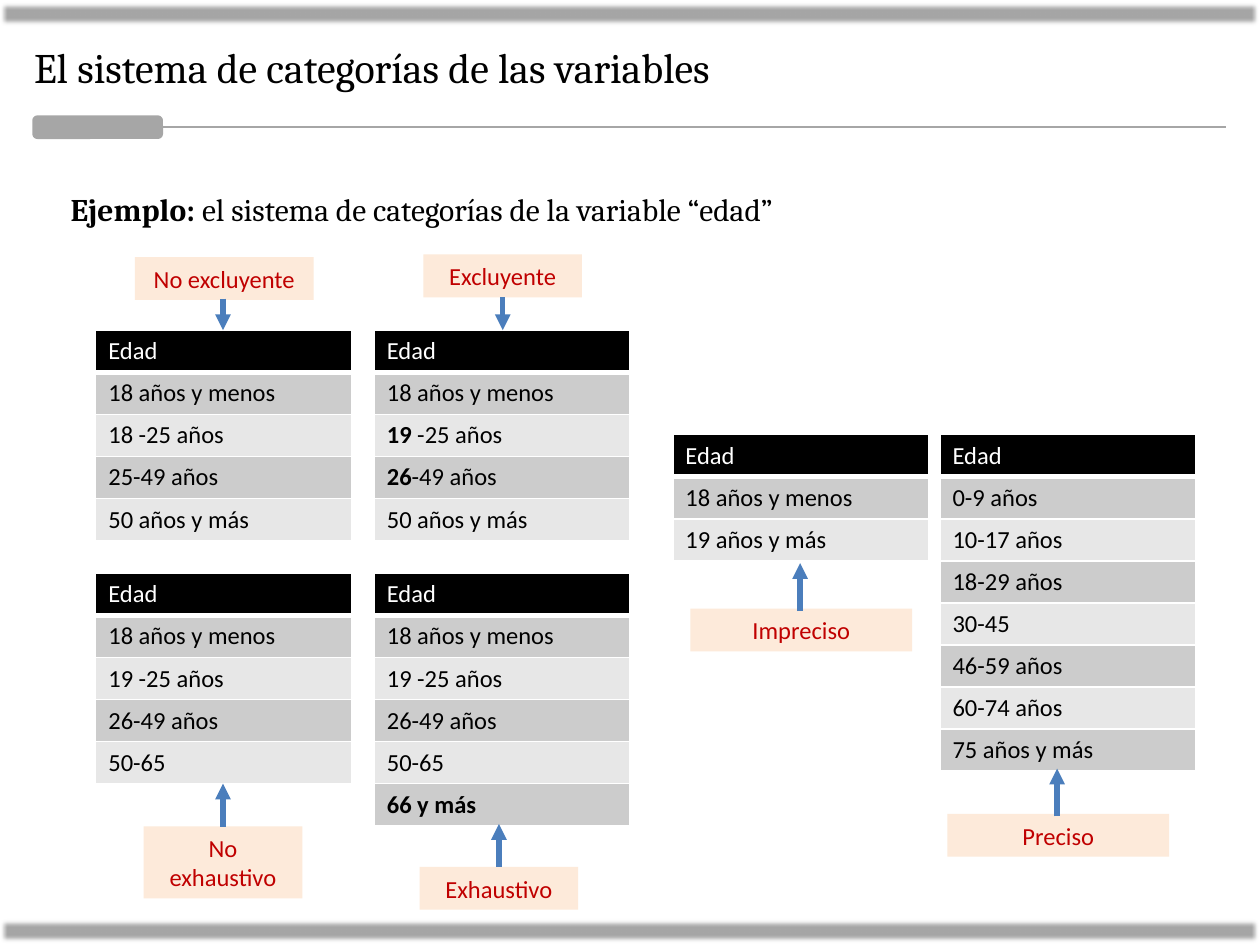
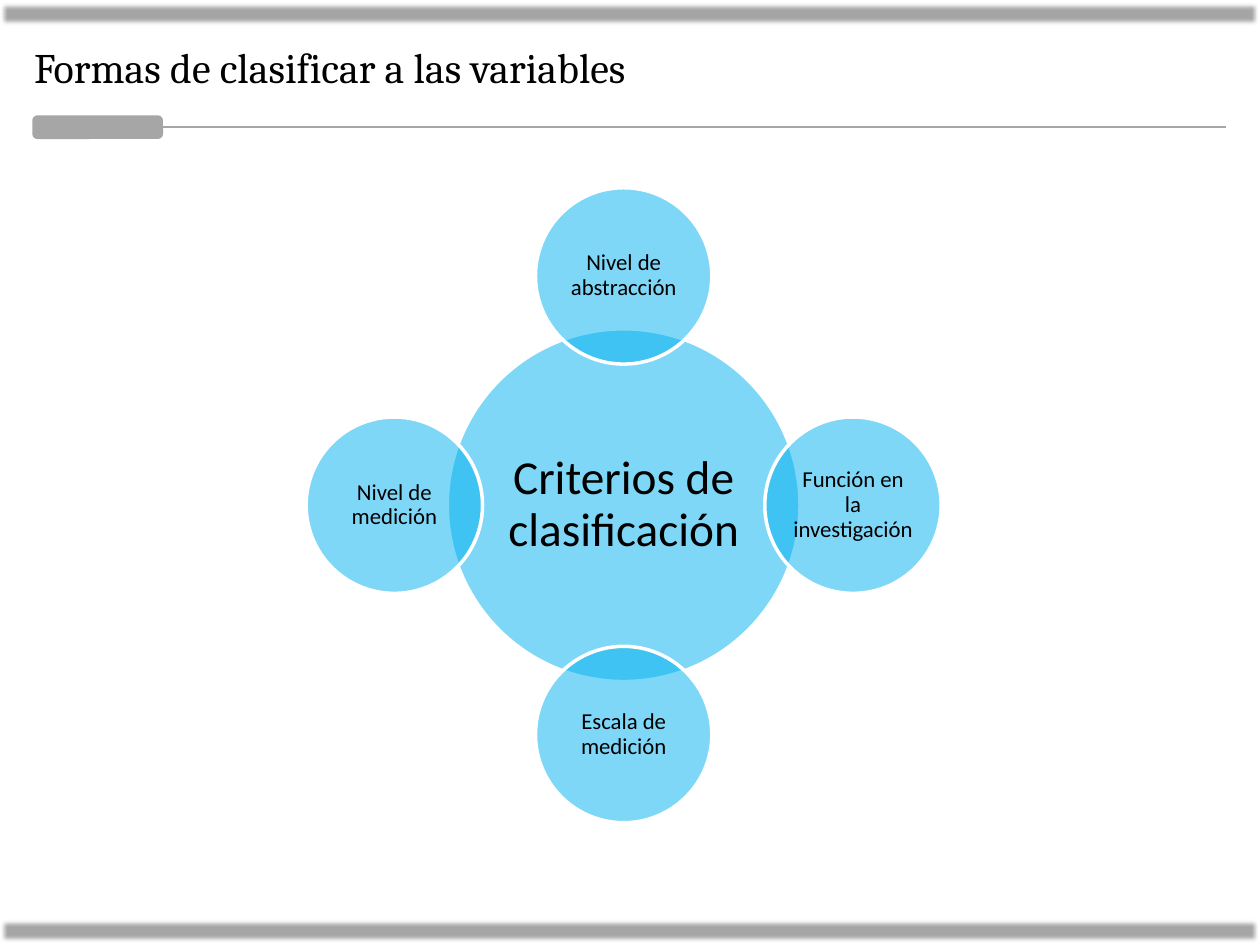
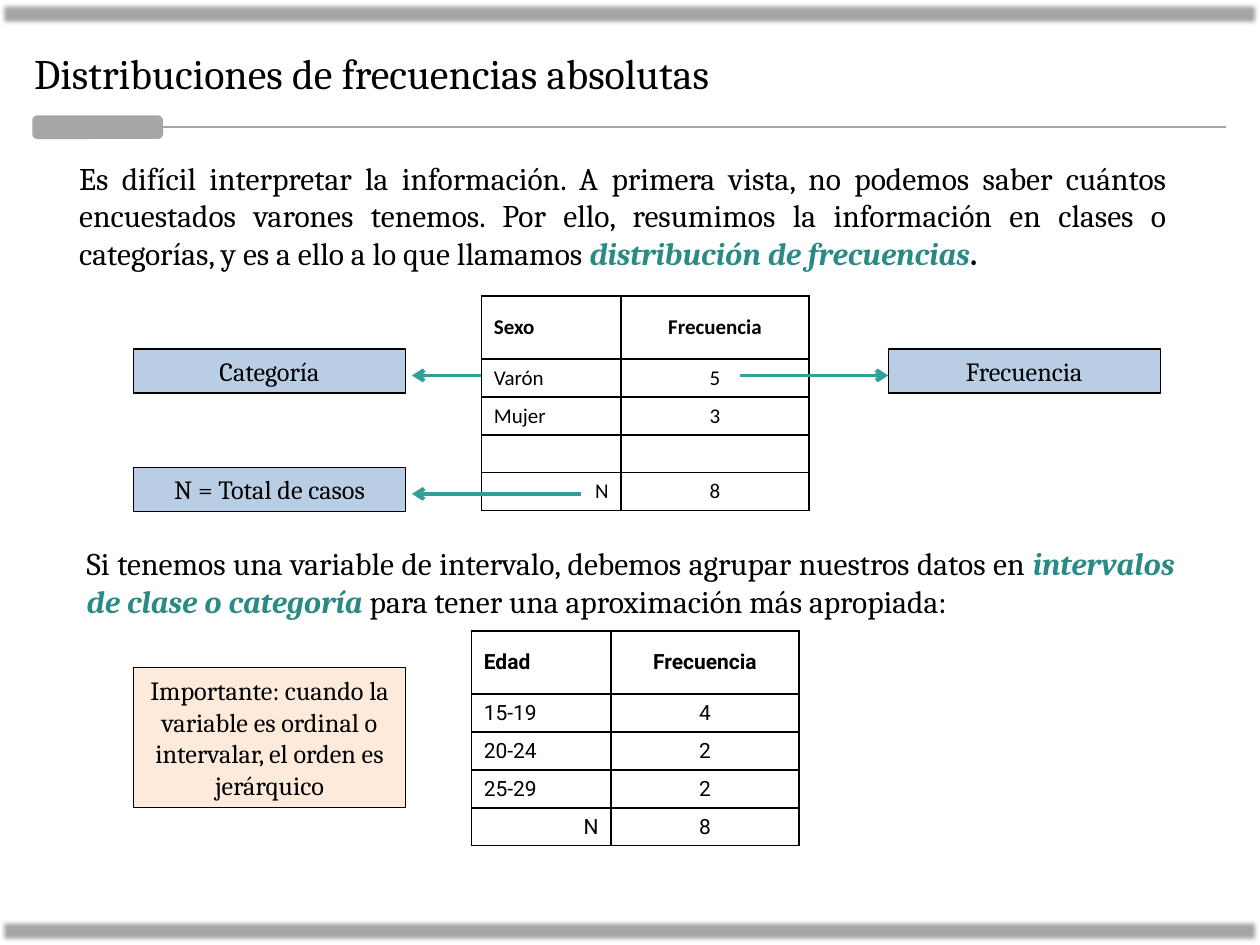
"""Build three slides on variables, categories and frequency distributions."""
import math

import pptx
import pptx.dml.color
import pptx.enum.shapes
import pptx.enum.text
import pptx.oxml.ns
import pptx.util
from lxml import etree

Inches = pptx.util.Inches
Pt = pptx.util.Pt
RGBColor = pptx.dml.color.RGBColor
Shape = pptx.enum.shapes.MSO_SHAPE
Align = pptx.enum.text.PP_ALIGN
Anchor = pptx.enum.text.MSO_ANCHOR
qn = pptx.oxml.ns.qn

BLACK = RGBColor(0x00, 0x00, 0x00)
WHITE = RGBColor(0xFF, 0xFF, 0xFF)
GRAY = RGBColor(0xA6, 0xA6, 0xA6)
DARK_ROW = RGBColor(0xCC, 0xCC, 0xCC)
LIGHT_ROW = RGBColor(0xE7, 0xE7, 0xE7)
PEACH = RGBColor(0xFD, 0xEA, 0xDA)
RED = RGBColor(0xC0, 0x00, 0x00)
ARROW_BLUE = RGBColor(0x4B, 0x7E, 0xBC)
PALE_BLUE = RGBColor(0xB9, 0xCD, 0xE5)
SKY = RGBColor(0x00, 0xB0, 0xF0)
TEAL = RGBColor(0x31, 0x9F, 0x9A)
TERM = RGBColor(0x2A, 0x8A, 0x85)

SERIF = "Cambria"
SANS = "Calibri"
ROBOTO = "Roboto"


def write(paragraph, spans, size, font, color=BLACK, align=Align.LEFT):
    """Fill a paragraph with spans, each plain text or (text, bold, italic, color)."""
    paragraph.alignment = align
    for span in [spans] if isinstance(spans, str) else spans:
        text, bold, italic, tint = (span, False, False, color) if isinstance(span, str) else span
        run = paragraph.add_run()
        run.text = text
        run.font.size = Pt(size)
        run.font.name = font
        run.font.bold = bold
        run.font.italic = italic
        run.font.color.rgb = tint


def add_box(page, kind, left, top, width, height, fill, line=None, weight=0.75):
    """Add a preset shape with a flat fill and an optional outline."""
    box = page.shapes.add_shape(kind, Inches(left), Inches(top), Inches(width), Inches(height))
    box.shadow.inherit = False
    box.fill.solid()
    box.fill.fore_color.rgb = fill
    if line is None:
        box.line.fill.background()
    else:
        box.line.color.rgb = line
        box.line.width = Pt(weight)
    box.text_frame.word_wrap = True
    box.text_frame.vertical_anchor = Anchor.MIDDLE
    return box


def add_line(page, start, end, color, weight, head=None):
    """Add a straight line, with an arrowhead at its end if one is named."""
    line = page.shapes.add_connector(
        pptx.enum.shapes.MSO_CONNECTOR.STRAIGHT, *(Inches(value) for value in start + end))
    line.line.color.rgb = color
    line.line.width = Pt(weight)
    if head:
        etree.SubElement(line.line._get_or_add_ln(), qn("a:tailEnd"), type=head)
    etree.SubElement(line._element.spPr, qn("a:effectLst"))


def add_page(deck, title, title_top=0.28):
    """Add a slide with its title, soft bands and title rule."""
    page = deck.slides.add_slide(deck.slide_layouts[5])
    for top in (0.01, 7.29):
        band = add_box(page, Shape.RECTANGLE, 0, top, 10, 0.2, GRAY)
        effects = band._element.spPr.find(qn("a:effectLst"))
        etree.SubElement(effects, qn("a:softEdge"), rad=str(Pt(2.5)))
    heading = page.shapes.title
    heading.left, heading.top = Inches(0.17), Inches(title_top)
    heading.width, heading.height = Inches(9.56), Inches(0.5)
    heading.text_frame.vertical_anchor = Anchor.TOP
    write(heading.text_frame.paragraphs[0], title, 24, SERIF)
    tab = add_box(page, Shape.ROUNDED_RECTANGLE, 0.27, 0.93, 1.01, 0.16, GRAY, GRAY, 2)
    tab.adjustments[0] = 0.17
    add_line(page, (1.23, 1.01), (9.73, 1.01), GRAY, 1.25)
    return page


def add_text(page, left, top, width, height, spans, indent=0):
    """Add a justified paragraph of body text."""
    box = page.shapes.add_textbox(Inches(left), Inches(top), Inches(width), Inches(height))
    box.text_frame.word_wrap = True
    box.text_frame.margin_left = Inches(0.1 + indent)
    write(box.text_frame.paragraphs[0], spans, 18, SERIF, align=Align.JUSTIFY)


def set_borders(cell, color, weight, bottom_weight=None):
    """Draw the four borders of a cell."""
    for side in ("lnL", "lnR", "lnT", "lnB"):
        width = bottom_weight if side == "lnB" and bottom_weight else weight
        border = etree.SubElement(cell._tc.get_or_add_tcPr(), qn("a:" + side), w=str(Pt(width)))
        fill = etree.SubElement(border, qn("a:solidFill"))
        etree.SubElement(fill, qn("a:srgbClr"), val=str(color))


def add_plain_table(page, left, top, widths, heights):
    """Add a table without style banding."""
    frame = page.shapes.add_table(len(heights), len(widths), Inches(left), Inches(top),
                                  Inches(sum(widths)), Inches(sum(heights)))
    table = frame.table
    table.first_row = False
    table.horz_banding = False
    for column, width in zip(table.columns, widths):
        column.width = Inches(width)
    for row, height in zip(table.rows, heights):
        row.height = Inches(height)
    return table


def add_age_table(page, left, top, categories):
    """Add a banded one-column list of age categories."""
    rows = ["Edad"] + categories
    table = add_plain_table(page, left, top, [2.03], [1 / 3] * len(rows))
    for index, spans in enumerate(rows):
        cell = table.cell(index, 0)
        header = index == 0
        set_borders(cell, WHITE, 1, 3 if header else None)
        cell.fill.solid()
        cell.fill.fore_color.rgb = BLACK if header else DARK_ROW if index % 2 else LIGHT_ROW
        write(cell.text_frame.paragraphs[0], spans, 14, SANS, WHITE if header else BLACK)


def add_frequency_table(page, left, top, font, rows):
    """Add a ruled two-column frequency table with a total row."""
    table = add_plain_table(page, left, top, [1.11, 1.49], [0.5] + [0.3] * (len(rows) - 1))
    for index, values in enumerate(rows):
        for column, text in enumerate(values):
            cell = table.cell(index, column)
            set_borders(cell, BLACK, 1)
            cell.fill.background()
            cell.vertical_anchor = Anchor.BOTTOM if index else Anchor.MIDDLE
            paragraph = cell.text_frame.paragraphs[0]
            if not text:
                etree.SubElement(paragraph._p, qn("a:endParaRPr"), sz="1200")
                continue
            align = Align.CENTER if column else Align.RIGHT if text == "N" else Align.LEFT
            write(paragraph, [(text, index == 0, False, BLACK)], 12, font, align=align)


def add_label(page, left, top, width, text, height=0.34):
    """Add a peach label with red text."""
    box = add_box(page, Shape.RECTANGLE, left, top, width, height, PEACH)
    write(box.text_frame.paragraphs[0], text, 14, SANS, RED, Align.CENTER)


def add_callout(page, left, top, text, height=0.35, fill=PALE_BLUE):
    """Add an outlined explanatory box."""
    box = add_box(page, Shape.RECTANGLE, left, top, 2.16, height, fill, BLACK)
    write(box.text_frame.paragraphs[0], text, 15, SERIF, align=Align.CENTER)


def add_circle(page, center_x, center_y, diameter, text, size, inset):
    """Add a translucent circle around a centre point."""
    circle = add_box(page, Shape.OVAL, center_x - diameter / 2, center_y - diameter / 2,
                     diameter, diameter, SKY, WHITE, 2)
    color = circle._element.spPr.find(qn("a:solidFill")).find(qn("a:srgbClr"))
    etree.SubElement(color, qn("a:alpha"), val="50000")
    frame = circle.text_frame
    frame.margin_left = frame.margin_right = Inches(inset)
    frame.margin_top = frame.margin_bottom = Inches(inset)
    frame.paragraphs[0].line_spacing = 0.9
    write(frame.paragraphs[0], text, size, SANS, align=Align.CENTER)


def build_categories(deck):
    """Compare category systems for the variable age."""
    page = add_page(deck, "El sistema de categorías de las variables")
    add_text(page, 0.27, 1.46, 9.45, 0.71,
             [("Ejemplo: ", True, False, BLACK),
              "el sistema de categorías de la variable “edad”"], indent=0.19)
    for left, top, width, text in (
            (1.07, 2.04, 1.42, "No excluyente"), (3.36, 2.02, 1.26, "Excluyente"),
            (7.52, 6.46, 1.76, "Preciso"), (3.33, 6.88, 1.26, "Exhaustivo"),
            (5.48, 4.83, 1.76, "Impreciso")):
        add_label(page, left, top, width, text)
    add_label(page, 1.14, 6.56, 1.26, "No exhaustivo", height=0.57)

    youngest = "18 años y menos"
    closed = [youngest, "19 -25 años", "26-49 años", "50-65"]
    for left, top, categories in (
            (0.76, 2.62, [youngest, "18 -25 años", "25-49 años", "50 años y más"]),
            (2.97, 2.62, [youngest, [("19", True, False, BLACK), " -25 años"],
                          [("26", True, False, BLACK), "-49 años"], "50 años y más"]),
            (0.76, 4.55, closed),
            (2.97, 4.55, closed + [[("66 y más", True, False, BLACK)]]),
            (5.34, 3.45, [youngest, "19 años y más"]),
            (7.46, 3.45, ["0-9 años", "10-17 años", "18-29 años", "30-45",
                          "46-59 años", "60-74 años", "75 años y más"])):
        add_age_table(page, left, top, categories)

    for x, start, end in ((1.77, 2.37, 2.62), (3.99, 2.36, 2.62), (8.39, 6.48, 6.1),
                          (1.77, 6.56, 6.22), (3.96, 6.88, 6.54), (6.35, 4.85, 4.47)):
        add_line(page, (x, start), (x, end), ARROW_BLUE, 3, "triangle")


def build_criteria(deck):
    """Show the classification criteria around a central circle."""
    page = add_page(deck, "Formas de clasificar a las variables")
    center_x, center_y, radius = 4.95, 4.01, 1.82
    add_circle(page, center_x, center_y, 2.8, "Criterios de clasificación", 27, 0.04)
    criteria = ["Nivel de abstracción", "Función en la investigación",
                "Escala de medición", "Nivel de medición"]
    for index, text in enumerate(criteria):
        angle = 2 * math.pi * index / len(criteria)
        add_circle(page, center_x + radius * math.sin(angle),
                   center_y - radius * math.cos(angle), 1.4, text, 13, 0.02)


def build_frequencies(deck):
    """Explain absolute frequency distributions with two tables."""
    page = add_page(deck, "Distribuciones de frecuencias absolutas", title_top=0.33)
    add_text(page, 0.53, 1.21, 8.83, 1.01,
             ["Es difícil interpretar la información. A primera vista, no podemos saber "
              "cuántos encuestados varones tenemos. Por ello, resumimos la información en "
              "clases o categorías, y es a ello a lo que llamamos ",
              ("distribución de frecuencias", True, True, TERM), (".", True, False, BLACK)])
    add_text(page, 0.59, 4.27, 8.83, 0.71,
             ["Si tenemos una variable de intervalo, debemos agrupar nuestros datos en ",
              ("intervalos de clase o categoría ", True, True, TERM),
              "para tener una aproximación más apropiada:"])
    add_frequency_table(page, 3.82, 2.35, SANS, [
        ("Sexo", "Frecuencia"), ("Varón", "5"), ("Mujer", "3"), ("", ""), ("N", "8")])
    add_frequency_table(page, 3.74, 5.01, ROBOTO, [
        ("Edad", "Frecuencia"), ("15-19", "4"), ("20-24", "2"), ("25-29", "2"), ("N", "8")])
    add_callout(page, 1.06, 2.77, "Categoría")
    add_callout(page, 7.05, 2.77, "Frecuencia")
    add_callout(page, 1.06, 3.71, "N = Total de casos")
    add_callout(page, 1.06, 5.3, "Importante: cuando la variable es ordinal o intervalar, "
                "el orden es jerárquico", height=1.11, fill=PEACH)
    for y, start, end in ((2.98, 3.82, 3.27), (2.98, 5.87, 7.05), (3.92, 4.61, 3.27)):
        add_line(page, (start, y), (end, y), TEAL, 2.25, "arrow")


def main():
    """Build and save the deck."""
    deck = pptx.Presentation()
    deck.slide_width, deck.slide_height = Inches(10), Inches(7.5)
    build_categories(deck)
    build_criteria(deck)
    build_frequencies(deck)
    deck.save("out.pptx")


if __name__ == "__main__":
    main()
